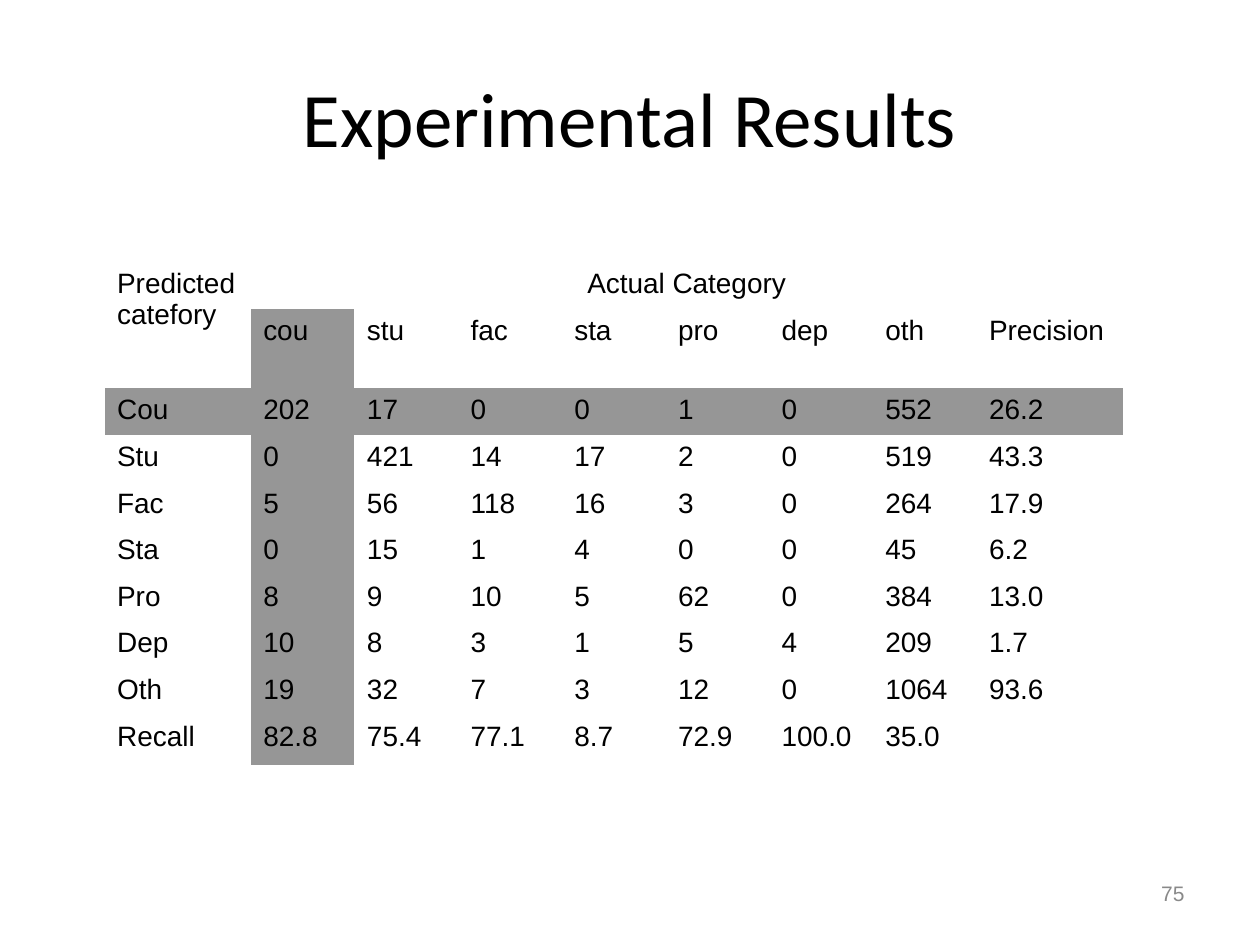
from pptx import Presentation
from pptx.dml.color import RGBColor
from pptx.enum import text as t
from pptx.util import Inches, Pt

BLACK = RGBColor(0x00, 0x00, 0x00)
GRAY = RGBColor(0x96, 0x96, 0x96)
PAGE_GRAY = RGBColor(0x89, 0x89, 0x89)
NO_STYLE = "{2D5ABB26-0587-4C30-8999-92F81FD0307C}"

# Content
TITLE = "Experimental Results"
PAGE_NUMBER = "75"
ROWS = [
    ["Predicted catefory", "Actual Category"],
    ["", "cou", "stu", "fac", "sta", "pro", "dep", "oth", "Precision"],
    ["Cou", "202", "17", "0", "0", "1", "0", "552", "26.2"],
    ["Stu", "0", "421", "14", "17", "2", "0", "519", "43.3"],
    ["Fac", "5", "56", "118", "16", "3", "0", "264", "17.9"],
    ["Sta", "0", "15", "1", "4", "0", "0", "45", "6.2"],
    ["Pro", "8", "9", "10", "5", "62", "0", "384", "13.0"],
    ["Dep", "10", "8", "3", "1", "5", "4", "209", "1.7"],
    ["Oth", "19", "32", "7", "3", "12", "0", "1064", "93.6"],
    ["Recall", "82.8", "75.4", "77.1", "8.7", "72.9", "100.0", "35.0"],
]
COLUMNS = 9
MARKED_ROW, MARKED_COLUMN = 2, 1

# Table measures in inches
WIDTH, OUTER_WIDTH = 8.08, 1.16
INNER_WIDTH = (WIDTH - 2 * OUTER_WIDTH) / (COLUMNS - 2)
ROW_HEIGHT, HEADER_HEIGHT = 0.37, 0.63


def write(frame, words, size, font, color, align):
    para = frame.paragraphs[0]
    para.alignment = align
    span = para.add_run()
    span.text = words
    span.font.size = Pt(size)
    span.font.name = font
    span.font.color.rgb = color


def add_text(page, place, *style):
    box = page.shapes.add_textbox(*map(Inches, place))
    box.text_frame.word_wrap = True
    box.text_frame.vertical_anchor = t.MSO_ANCHOR.MIDDLE
    write(box.text_frame, *style)


def is_marked(row, column):
    return row == MARKED_ROW or (column == MARKED_COLUMN and row > 0)


def add_results(page):
    height = ROW_HEIGHT * (len(ROWS) - 1) + HEADER_HEIGHT
    frame = page.shapes.add_table(len(ROWS), COLUMNS, Inches(0.83), Inches(2.08),
                                  Inches(WIDTH), Inches(height))
    table = frame.table
    table.first_row = table.horz_banding = False
    table._tbl.tblPr.find("{*}tableStyleId").text = NO_STYLE

    for index, column in enumerate(table.columns):
        outer = index in (0, COLUMNS - 1)
        column.width = Inches(OUTER_WIDTH if outer else INNER_WIDTH)
    for index, row in enumerate(table.rows):
        row.height = Inches(HEADER_HEIGHT if index == 1 else ROW_HEIGHT)

    # Headings that span several cells
    table.cell(0, 0).merge(table.cell(1, 0))
    table.cell(0, 1).merge(table.cell(0, COLUMNS - 1))

    for r in range(len(ROWS)):
        for c in range(COLUMNS):
            cell = table.cell(r, c)
            if is_marked(r, c):
                cell.fill.solid()
                cell.fill.fore_color.rgb = GRAY
            else:
                cell.fill.background()
            if c < len(ROWS[r]) and ROWS[r][c]:
                align = t.PP_ALIGN.CENTER if (r, c) == (0, 1) else t.PP_ALIGN.LEFT
                write(cell.text_frame, ROWS[r][c], 16, "Arial", BLACK, align)


def main():
    deck = Presentation()
    deck.slide_width, deck.slide_height = Inches(10), Inches(7.5)
    page = deck.slides.add_slide(deck.slide_layouts[6])

    # Title, results table, page number
    add_text(page, (0.5, 0.3, 9, 1.25), TITLE, 44, "Calibri", BLACK, t.PP_ALIGN.CENTER)
    add_results(page)
    add_text(page, (7.17, 6.83, 2.33, 0.52), PAGE_NUMBER, 12, "Arial", PAGE_GRAY,
             t.PP_ALIGN.RIGHT)

    deck.save("out.pptx")


if __name__ == "__main__":
    main()
